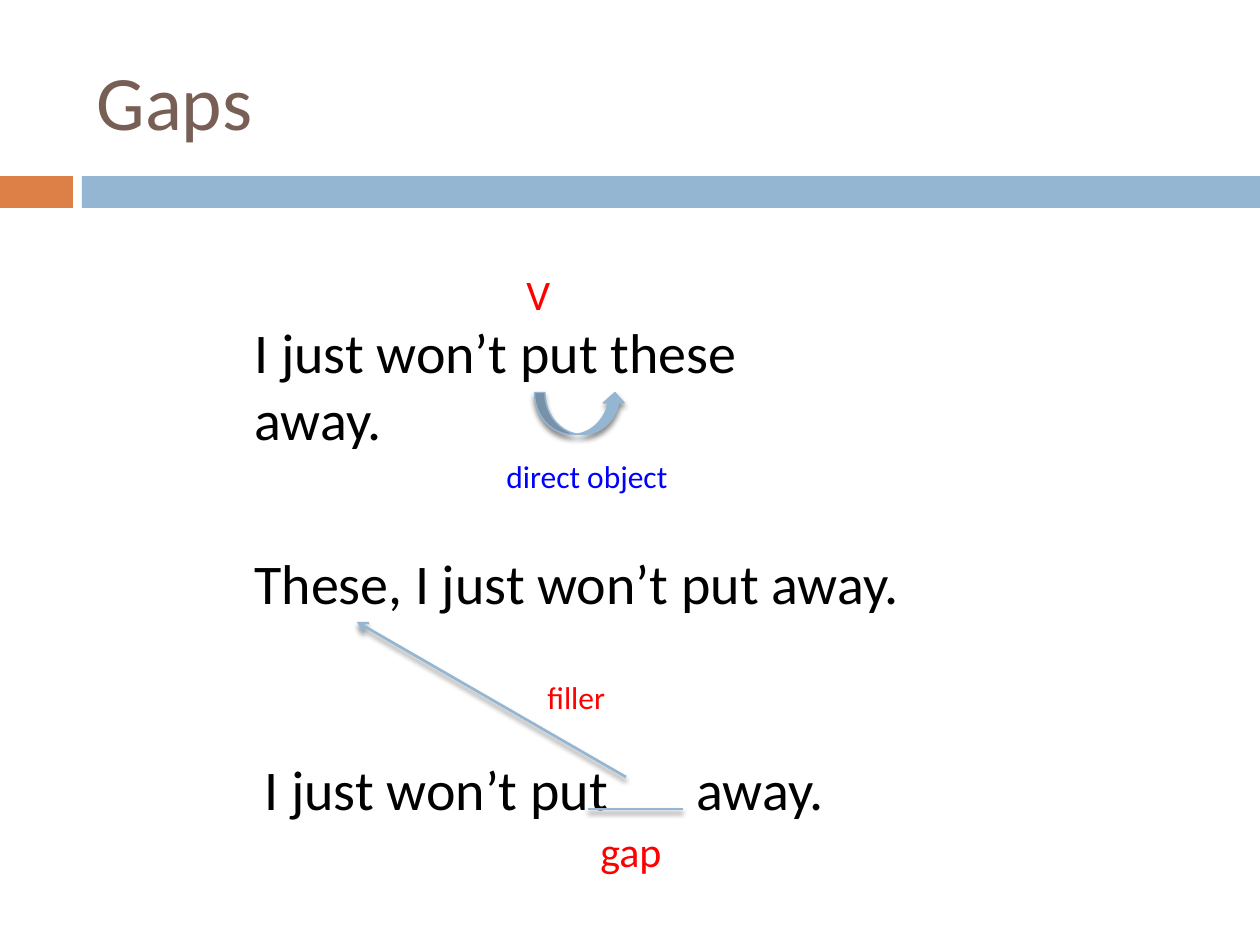
from lxml import etree
from pptx import Presentation
from pptx import util as u
from pptx.dml.color import RGBColor
from pptx.enum import shapes, text
from pptx.oxml import parse_xml
from pptx.oxml.ns import nsdecls, qn

THEME = {
    "font": "Calibri",
    "title": "775F55", "body": "000000", "mark": "FF0000", "object": "0000FF",
    "accent": "DD8047", "band": "94B6D2", "shadow": "000000",
    "title_size": 44, "sentence": 32, "label": 24, "note": 18,
    "line": 1.5, "outline": 0.79,
}
TITLE = ("Gaps", (84, 32, 1124, 136))
BARS = [((0, 176, 73, 32), "accent"), ((82, 176, 1178, 32), "band")]
TEXTS = [
    ("I just won’t put these away.", (242, 311, 630, 81), "sentence", "body"),
    ("These, I just won’t put away.", (242, 542, 809, 81), "sentence", "body"),
    ("V", (514, 262, 95, 63), "label", "mark"),
    ("direct object", (494, 451, 252, 53), "note", "object"),
    ("gap", (588, 819, 220, 63), "label", "mark"),
    ("filler", (535, 672, 116, 50), "note", "mark"),
]
GAP_SENTENCE = ("I just won’t put\taway.", (252, 748, 809, 81), "sentence", "body")
GAP_TAB = 432
GAP_LINE = (588, 809, 683, 809)
FILLER_ARROW = (626, 777, 357, 622)
OBJECT_ARROW = (559, 368, 42, 91)


def px(n):
    return u.Emu(round(n * 914400 / 126))


def color(name):
    return RGBColor.from_string(THEME[name])


def write(tf, words, size, ink):
    p = tf.paragraphs[0]
    p.alignment = text.PP_ALIGN.LEFT
    r = p.add_run()
    r.text = words
    for key, value in {"name": THEME["font"], "size": u.Pt(THEME[size])}.items():
        setattr(r.font, key, value)
    r.font.color.rgb = color(ink)
    return p


def add_text(parent, words, box, size, ink):
    tf = parent.add_textbox(*map(px, box)).text_frame
    frame = {"word_wrap": True, "auto_size": text.MSO_AUTO_SIZE.SHAPE_TO_FIT_TEXT}
    for key, value in frame.items():
        setattr(tf, key, value)
    return write(tf, words, size, ink)


def add_shadow(sp):
    sp._element.spPr.append(parse_xml(
        f'<a:effectLst {nsdecls("a")}><a:outerShdw blurRad="{u.Pt(3)}" '
        f'dist="{u.Pt(2.4)}" dir="5400000" rotWithShape="0">'
        f'<a:srgbClr val="{THEME["shadow"]}"><a:alpha val="45000"/></a:srgbClr>'
        '</a:outerShdw></a:effectLst>'))


def add_line(parent, ends, arrow=False):
    sp = parent.add_connector(shapes.MSO_CONNECTOR.STRAIGHT, *map(px, ends))
    sp.line.color.rgb = color("band")
    sp.line.width = u.Pt(THEME["line"])
    if arrow:
        etree.SubElement(sp.line._get_or_add_ln(), qn("a:tailEnd"), type="arrow")
    add_shadow(sp)


def add_solid(parent, kind, box, fill):
    sp = parent.add_shape(kind, *map(px, box))
    sp.fill.solid()
    sp.fill.fore_color.rgb = color(fill)
    return sp


def main():
    prs = Presentation()
    prs.slide_width, prs.slide_height = px(1260), px(945)
    s = prs.slides.add_slide(prs.slide_layouts[5])

    for box, fill in BARS:
        sp = add_solid(s.shapes, shapes.MSO_SHAPE.RECTANGLE, box, fill)
        sp.line.fill.background()
        sp.shadow.inherit = False

    words, box = TITLE
    title = s.shapes.title
    for key, value in zip(("left", "top", "width", "height"), box):
        setattr(title, key, px(value))
    title.text_frame.vertical_anchor = text.MSO_ANCHOR.MIDDLE
    write(title.text_frame, words, "title_size", "title")

    for item in TEXTS:
        add_text(s.shapes, *item)

    sp = add_solid(s.shapes, shapes.MSO_SHAPE.CURVED_RIGHT_ARROW, OBJECT_ARROW, "band")
    sp.rotation = 270
    sp.line.color.rgb = color("band")
    sp.line.width = u.Pt(THEME["outline"])
    add_shadow(sp)

    group = s.shapes.add_group_shape().shapes
    p = add_text(group, *GAP_SENTENCE)
    tabs = etree.SubElement(p._p.get_or_add_pPr(), qn("a:tabLst"))
    etree.SubElement(tabs, qn("a:tab"), pos=str(px(GAP_TAB)), algn="l")
    add_line(group, GAP_LINE)
    add_line(s.shapes, FILLER_ARROW, arrow=True)

    prs.save("out.pptx")


if __name__ == "__main__":
    main()
